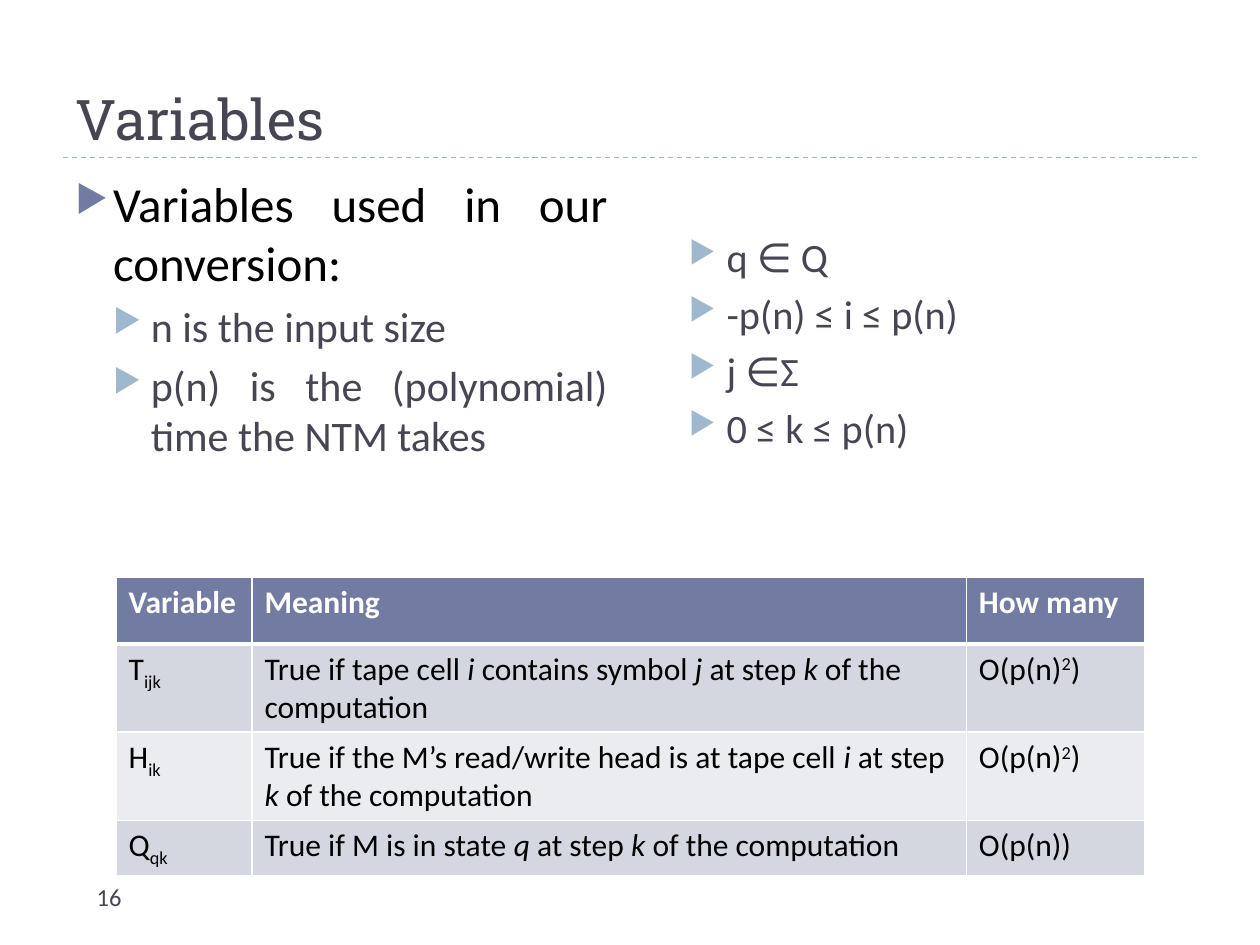
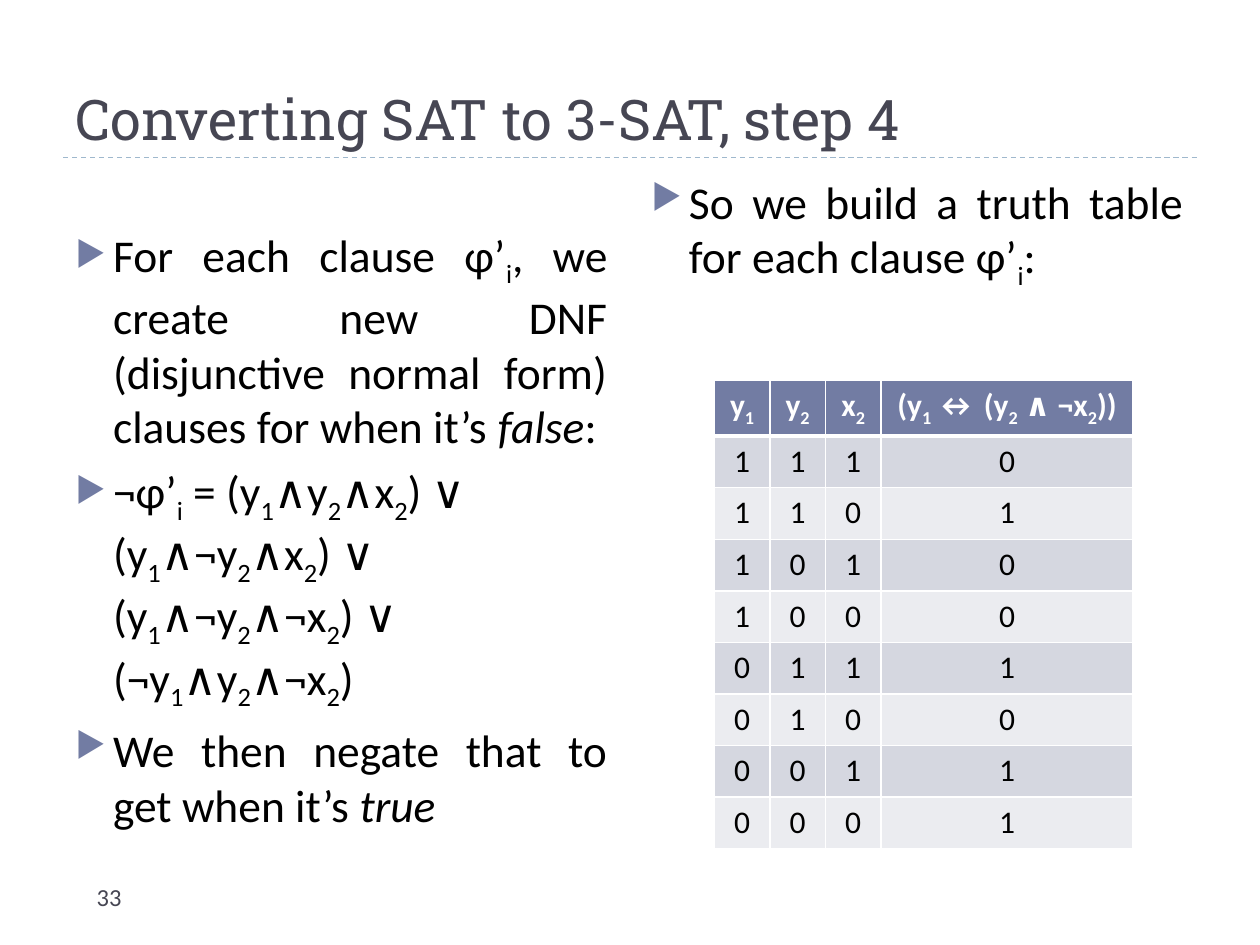
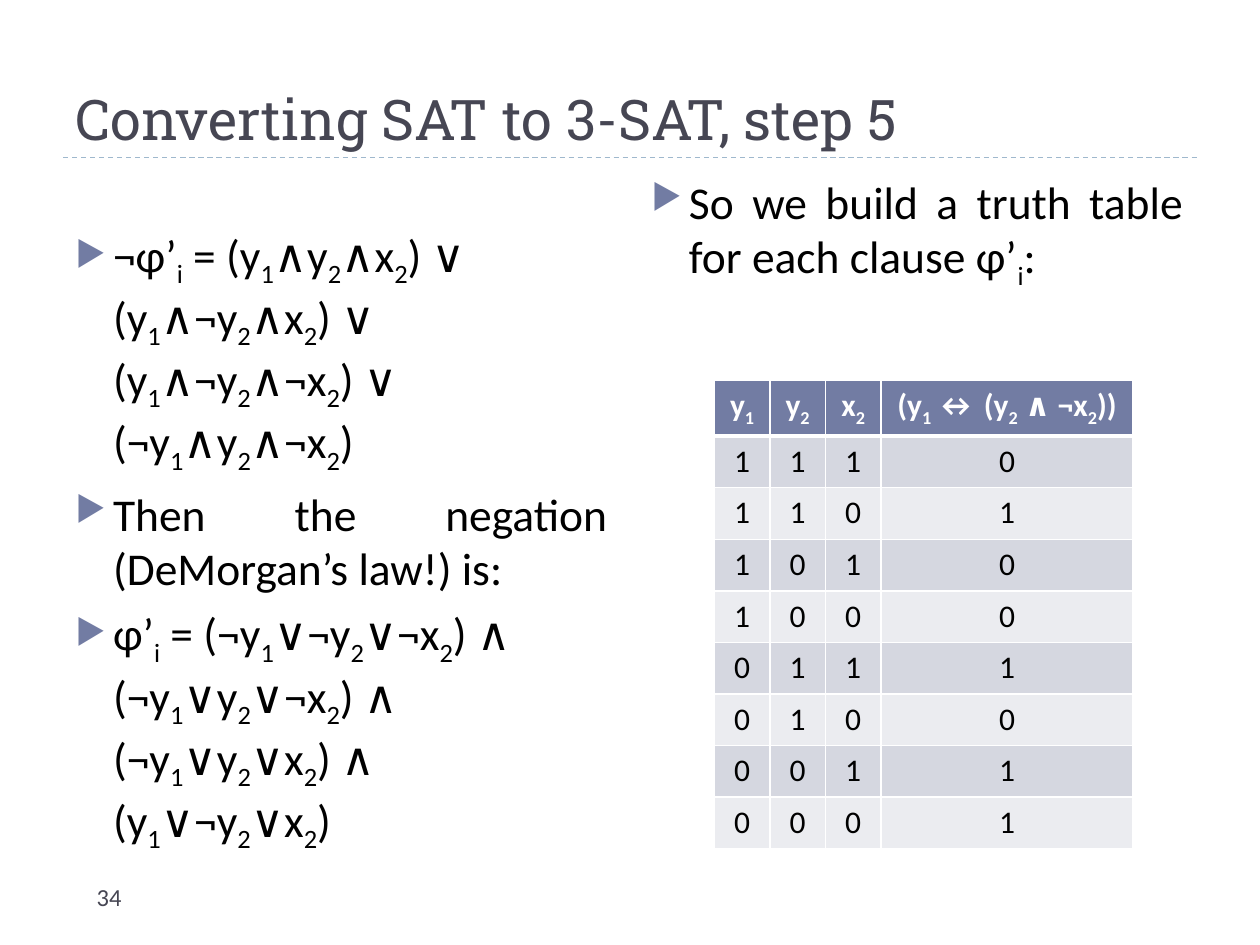
from itertools import product

from lxml.etree import SubElement
from pptx import Presentation
from pptx.dml.color import RGBColor
from pptx.enum.dml import MSO_LINE
from pptx.enum.shapes import MSO_CONNECTOR
from pptx.enum.text import MSO_ANCHOR, MSO_AUTO_SIZE, PP_ALIGN
from pptx.oxml.ns import qn
from pptx.util import Cm, Pt

COLORS = {
    "title": "464653",
    "text": "000000",
    "accent": "727CA3",
    "light_accent": "9FB8CD",
    "white": "FFFFFF",
    "band_dark": "D5D7E0",
    "band_light": "EBECF0",
}
BODY_FONT = "Calibri"
TITLE_FONT = "Roboto Slab"
BASELINES = {"~": "-25000", "^": "30000"}

TITLE_BOX = (1.27, 0.64, 22.86, 2.54)
NUMBER_BOX = (1.7, 17.65, 5.51, 1.02)
LEFT_BOX = (1.27, 3.38, 11.23, 13.72)
RIGHT_BOX = (12.88, 3.38, 11.23, 13.72)
LOWER_LEFT_BOX = (1.27, 4.45, 11.23, 13.77)
LOWER_RIGHT_BOX = (12.88, 4.55, 11.23, 12.55)

VARIABLE_ROWS = [
    ("Variable", "Meaning", "How many"),
    ("T~ijk~", "True if tape cell *i *contains symbol *j* at step *k* of the computation",
     "O(p(n)^2^)"),
    ("H~ik~", "True if the M’s read/write head is at tape cell *i* at step *k* of the computation",
     "O(p(n)^2^)"),
    ("Q~qk~", "True if M is in state *q* at step *k* of the computation", "O(p(n))"),
]
TRUTH_HEADER = ("y~1~", "y~2~", "x~2~", "(y~1 ~↔ (y~2~ ∧ ¬x~2~))")
NEGATED_CLAUSE = (
    "¬φ’~i~ = (y~1~∧y~2~∧x~2~) ∨\n(y~1~∧¬y~2~∧x~2~) ∨\n"
    "(y~1~∧¬y~2~∧¬x~2~) ∨\n(¬y~1~∧y~2~∧¬x~2~)"
)
CLAUSE = (
    "φ’~i~ = (¬y~1~∨¬y~2~∨¬x~2~) ∧\n(¬y~1~∨y~2~∨¬x~2~) ∧\n"
    "(¬y~1~∨y~2~∨x~2~) ∧\n(y~1~∨¬y~2~∨x~2~)"
)


def rgb(name):
    """Return the named colour of the palette."""
    return RGBColor.from_string(COLORS[name])


def to_cm(box):
    """Turn a box of centimetre values into lengths."""
    return [Cm(value) for value in box]


def split_marks(text):
    """Yield pieces of text with the marks open around them: ~ below, ^ above, * italic."""
    piece, open_marks = "", set()
    for character in text:
        if character in "~^*\n":
            if piece:
                yield piece, frozenset(open_marks)
            piece = ""
            if character == "\n":
                yield character, frozenset()
            else:
                open_marks ^= {character}
        else:
            piece += character
    if piece:
        yield piece, frozenset(open_marks)


def write_text(paragraph, text, size=18, color="text", font=BODY_FONT, bold=False,
               alignment=PP_ALIGN.LEFT):
    """Write marked text into a paragraph with the given format."""
    paragraph.alignment = alignment
    for piece, marks in split_marks(text):
        if piece == "\n":
            paragraph.add_line_break()
            continue
        run = paragraph.add_run()
        run.text = piece
        run.font.name = font
        run.font.size = Pt(size)
        run.font.bold = bold
        run.font.italic = "*" in marks
        run.font.color.rgb = rgb(color)
        for mark in marks & BASELINES.keys():
            run._r.get_or_add_rPr().set("baseline", BASELINES[mark])


def add_bullet(paragraph, level):
    """Give a paragraph the triangle bullet and hanging indent of its level."""
    paragraph.level = level
    properties = paragraph._p.get_or_add_pPr()
    properties.set("marL", str(Cm(0.76 * (level + 1))))
    properties.set("indent", str(-Cm(0.76)))
    color = SubElement(properties, qn("a:buClr"))
    SubElement(color, qn("a:srgbClr"), val=COLORS["light_accent" if level else "accent"])
    SubElement(properties, qn("a:buSzPct"), val="76000")
    SubElement(properties, qn("a:buChar"), char="▶")


def add_text_frame(slide, box):
    """Add a wrapping text box and return its text frame."""
    text_frame = slide.shapes.add_textbox(*to_cm(box)).text_frame
    text_frame.word_wrap = True
    return text_frame


def add_bullets(slide, box, items, size=26):
    """Add a list of (text, level, size) items or plain first-level texts."""
    text_frame = add_text_frame(slide, box)
    for index, item in enumerate(items):
        text, level, item_size = (item, 0, size) if isinstance(item, str) else item
        paragraph = text_frame.add_paragraph() if index else text_frame.paragraphs[0]
        add_bullet(paragraph, level)
        paragraph.space_before = Pt(6 - level if index else 0)
        alignment = PP_ALIGN.LEFT if "\n" in text else PP_ALIGN.JUSTIFY
        write_text(paragraph, text, size=item_size, alignment=alignment,
                   color="title" if level else "text")


def add_borders(cell, top, bottom):
    """Draw white borders round a cell with the given top and bottom widths."""
    properties = cell._tc.get_or_add_tcPr()
    for side, width in (("L", 1), ("R", 1), ("T", top), ("B", bottom)):
        line = SubElement(properties, qn(f"a:ln{side}"), w=str(Pt(width)))
        fill = SubElement(line, qn("a:solidFill"))
        SubElement(fill, qn("a:srgbClr"), val=COLORS["white"])


def add_banded_table(slide, left, top, widths, rows, header_height=1.04,
                     alignment=PP_ALIGN.LEFT):
    """Add a table with a coloured header and alternating row bands."""
    row_height = 1.04
    height = header_height + row_height * (len(rows) - 1)
    box = to_cm((left, top, sum(widths), height))
    table = slide.shapes.add_table(len(rows), len(widths), *box).table
    table.horz_banding = False
    for column, width in zip(table.columns, widths):
        column.width = Cm(width)
    for row_index, texts in enumerate(rows):
        is_header = row_index == 0
        table.rows[row_index].height = Cm(header_height if is_header else row_height)
        band = "accent" if is_header else ("band_light", "band_dark")[row_index % 2]
        for column_index, text in enumerate(texts):
            cell = table.cell(row_index, column_index)
            add_borders(cell, top=3 if row_index == 1 else 1, bottom=3 if is_header else 1)
            cell.fill.solid()
            cell.fill.fore_color.rgb = rgb(band)
            write_text(cell.text_frame.paragraphs[0], text, bold=is_header,
                       color="white" if is_header else "text", alignment=alignment)


def add_title(slide, box, text):
    """Place the title placeholder and draw the dashed rule under it."""
    title = slide.shapes.title
    title.left, title.top, title.width, title.height = to_cm(box)
    title.text_frame.auto_size = MSO_AUTO_SIZE.NONE
    title.text_frame.vertical_anchor = MSO_ANCHOR.BOTTOM
    write_text(title.text_frame.paragraphs[0], text, size=32, color="title", font=TITLE_FONT)
    left, top, width, height = box
    rule = slide.shapes.add_connector(
        MSO_CONNECTOR.STRAIGHT, *to_cm((left, top + height, left + width, top + height)))
    rule.line.color.rgb = rgb("light_accent")
    rule.line.width = Pt(0.75)
    rule.line.dash_style = MSO_LINE.DASH
    SubElement(rule._element.spPr, qn("a:effectLst"))


def add_base_slide(presentation, title, number):
    """Add a slide with its title, rule and slide number."""
    slide = presentation.slides.add_slide(presentation.slide_layouts[5])
    add_title(slide, TITLE_BOX, title)
    text_frame = add_text_frame(slide, NUMBER_BOX)
    write_text(text_frame.paragraphs[0], str(number), size=14, color="title")
    return slide


def add_variables_slide(presentation):
    """Add the slide that lists the variables of the conversion."""
    slide = add_base_slide(presentation, "Variables", 16)
    add_bullets(slide, LEFT_BOX, [
        ("Variables used in our conversion:", 0, 28),
        ("n is the input size", 1, 24),
        ("p(n) is the (polynomial) time the NTM takes", 1, 24),
    ])
    ranges = ("q ∈ Q", "-p(n) ≤ i ≤ p(n)", "j ∈Σ", "0 ≤ k ≤ p(n)")
    add_bullets(slide, LOWER_RIGHT_BOX, [(text, 1, 23) for text in ranges])
    add_banded_table(slide, 2.34, 11.63, (2.74, 14.4, 3.6), VARIABLE_ROWS, header_height=1.35)


def add_truth_table_slide(presentation, step, number, items):
    """Add a conversion step beside the truth table of its clause."""
    slide = add_base_slide(presentation, f"Converting SAT to 3-SAT, step {step}", number)
    add_bullets(slide, LOWER_LEFT_BOX, items)
    add_bullets(slide, RIGHT_BOX, ["So we build a truth table for each clause φ’~i~:"])
    rows = [TRUTH_HEADER]
    for y1, y2, x2 in product((1, 0), repeat=3):
        result = int(y1 == (y2 and not x2))
        rows.append([str(value) for value in (y1, y2, x2, result)])
    add_banded_table(slide, 14.4, 7.67, (1.12, 1.12, 1.12, 5.08), rows,
                     alignment=PP_ALIGN.CENTER)


def main():
    """Build the presentation and save it."""
    presentation = Presentation()
    presentation.slide_width, presentation.slide_height = Cm(25.4), Cm(19.05)
    add_variables_slide(presentation)
    add_truth_table_slide(presentation, 4, 33, [
        "For each clause φ’~i~, we create new DNF (disjunctive normal form) "
        "clauses for when it’s *false*:",
        NEGATED_CLAUSE,
        "We then negate that to get when it’s *true*",
    ])
    add_truth_table_slide(presentation, 5, 34, [
        NEGATED_CLAUSE,
        "Then the negation (DeMorgan’s law!) is:",
        CLAUSE,
    ])
    presentation.save("out.pptx")


if __name__ == "__main__":
    main()
